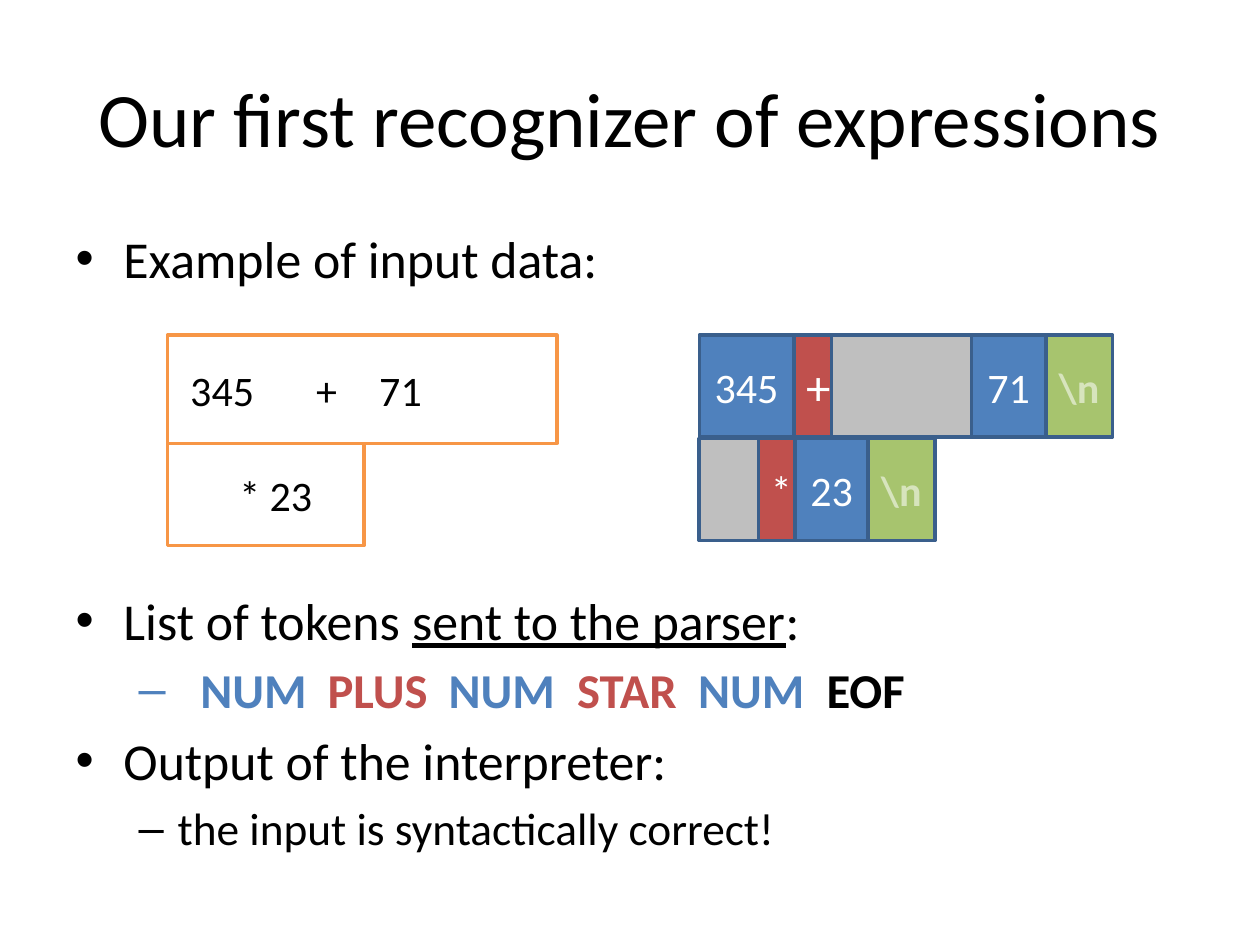
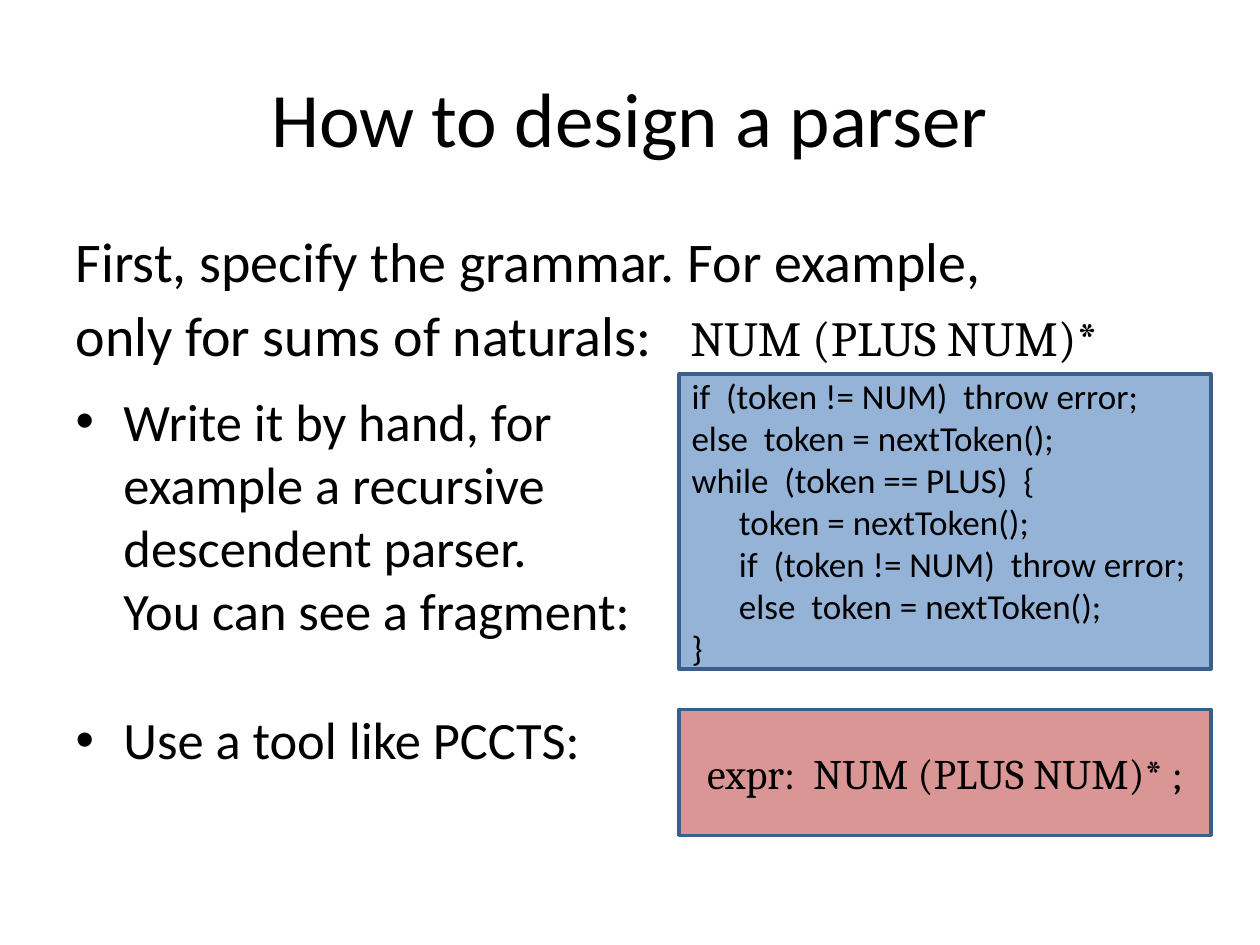
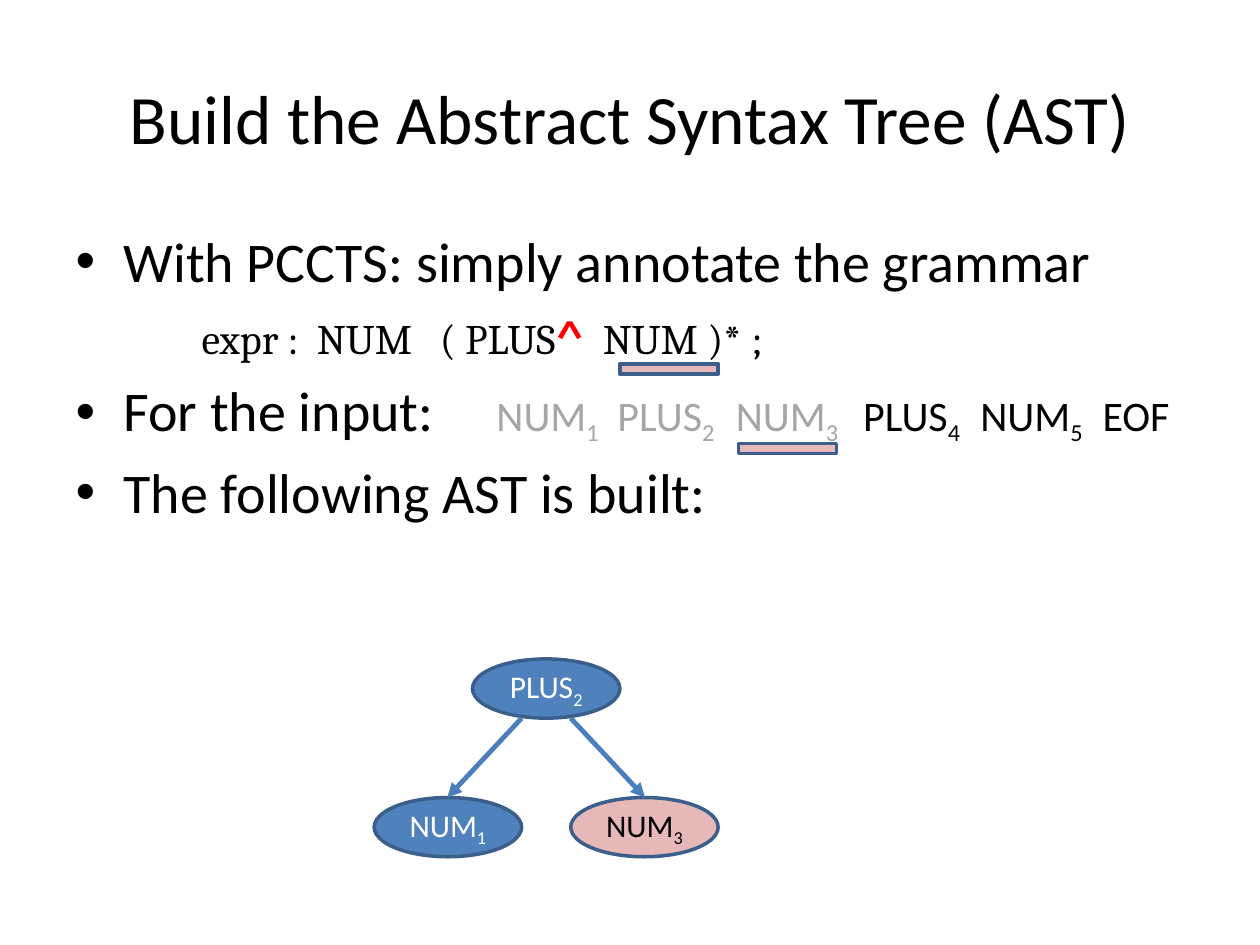
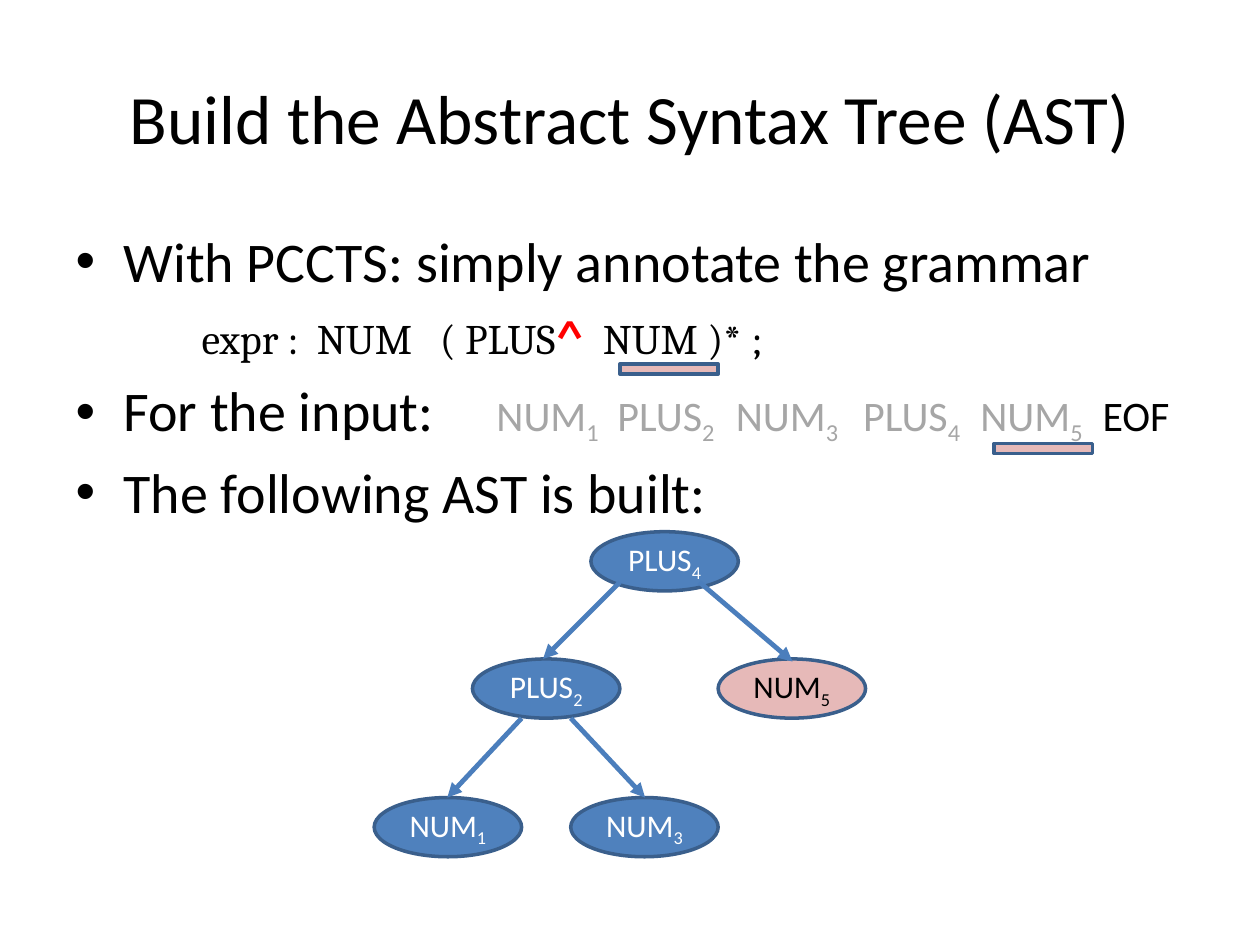
from copy import deepcopy

from lxml.etree import SubElement
from pptx import Presentation
from pptx.dml.color import RGBColor
from pptx.enum.shapes import MSO_CONNECTOR, MSO_SHAPE
from pptx.enum.text import MSO_ANCHOR, MSO_AUTO_SIZE, PP_ALIGN
from pptx.oxml.ns import qn
from pptx.util import Inches, Pt

BLACK, WHITE = "000000", "FFFFFF"
BLUE, RED, GREEN, GREY = "4F81BD", "C0504D", "A7C46E", "BFBFBF"
PALE_GREEN, PALE_RED, ROSE, SKY = "D7E4BD", "E6B9B8", "D99694", "95B3D7"
OUTLINE, ARROW, ORANGE = "3A5F8C", "4B7EBC", "F79646"
CONSUMED, CARET = "A6A6A6", "FF0000"
SANS, SERIF = "Calibri", "Cambria"
NODE_WIDTH, NODE_HEIGHT = 1.17, 0.47


def rgb(hex_colour):
    return RGBColor.from_string(hex_colour)


class Deck:
    def __init__(self):
        self.presentation = Presentation()
        self.presentation.slide_width = Inches(10)
        self.presentation.slide_height = Inches(7.5)
        self.slide = None

    def new_slide(self, title, size=44):
        layout = self.presentation.slide_layouts[1]
        self.slide = self.presentation.slides.add_slide(layout)
        heading = self.slide.shapes.title
        self.place(heading, 0.5, 0.3, 9, 1.25)
        frame = heading.text_frame
        frame.auto_size = MSO_AUTO_SIZE.NONE
        frame.vertical_anchor = MSO_ANCHOR.MIDDLE
        paragraph = frame.paragraphs[0]
        paragraph.alignment = PP_ALIGN.CENTER
        self.run(paragraph, title, size)

    def place(self, shape, left, top, width, height):
        shape.left, shape.top = Inches(left), Inches(top)
        shape.width, shape.height = Inches(width), Inches(height)

    def body(self, width=9.27, height=4.95):
        placeholder = self.slide.placeholders[1]
        self.place(placeholder, 0.5, 1.75, width, height)
        placeholder.text_frame.auto_size = MSO_AUTO_SIZE.NONE
        return placeholder.text_frame

    def run(self, paragraph, text, size, colour=BLACK, font=SANS,
            bold=False, underline=False, subscript=False):
        """Add text in one format; a newline in it becomes a line break."""
        for number, line in enumerate(text.split("\n")):
            if number:
                paragraph.add_line_break()
            run = paragraph.add_run()
            run.text = line
            run.font.name, run.font.size = font, Pt(size)
            run.font.color.rgb = rgb(colour)
            run.font.bold, run.font.underline = bold, underline
            properties = run._r.get_or_add_rPr()
            if subscript:
                properties.set("baseline", "-25000")
            if number:
                run._r.getprevious().append(deepcopy(properties))

    def paragraph(self, frame, bullet=None, level=0, margin=0.38, hanging=0.38,
                  before=0, spacing=1.0, tabs=()):
        """Start a list paragraph; tabs are measured from the frame's text edge."""
        first = frame.paragraphs[0]
        paragraph = frame.add_paragraph() if first.runs else first
        paragraph.level = level
        properties = paragraph._p.get_or_add_pPr()
        properties.set("marL", str(Inches(margin)))
        properties.set("indent", str(-Inches(hanging)))
        if bullet:
            SubElement(properties, qn("a:buChar"), char=bullet)
        else:
            SubElement(properties, qn("a:buNone"))
        if tabs:
            tab_list = SubElement(properties, qn("a:tabLst"))
            for position in tabs:
                SubElement(tab_list, qn("a:tab"), pos=str(Inches(position)), algn="l")
        paragraph.space_before = Pt(before)
        paragraph.line_spacing = spacing
        return paragraph

    def item(self, frame, text, size, **layout):
        paragraph = self.paragraph(frame, **{"bullet": "•", **layout})
        self.run(paragraph, text, size)
        return paragraph

    def box(self, left, top, width, height, fill, line=OUTLINE,
            kind=MSO_SHAPE.RECTANGLE, parent=None):
        shapes = (parent or self.slide).shapes
        shape = shapes.add_shape(kind, Inches(left), Inches(top),
                                 Inches(width), Inches(height))
        shape.shadow.inherit = False
        shape.fill.solid()
        shape.fill.fore_color.rgb = rgb(fill)
        shape.line.color.rgb = rgb(line)
        shape.line.width = Pt(2)
        shape.text_frame.word_wrap = True
        shape.text_frame.vertical_anchor = MSO_ANCHOR.MIDDLE
        return shape

    def label(self, shape, text, size, align=PP_ALIGN.CENTER, **style):
        """Write one paragraph per line of text."""
        frame = shape.text_frame
        for number, line in enumerate(text.split("\n")):
            paragraph = frame.add_paragraph() if number else frame.paragraphs[0]
            paragraph.alignment = align
            self.run(paragraph, line, size, **style)

    def input_line(self, parent, top, width, height, text, inset, tabs=()):
        box = self.box(1.33, top, width, height, WHITE, ORANGE, parent=parent)
        frame = box.text_frame
        frame.margin_left = Inches(inset)
        paragraph = self.paragraph(frame, margin=0, hanging=0, tabs=tabs)
        paragraph.alignment = PP_ALIGN.LEFT
        self.run(paragraph, text, 24)

    def lexeme_row(self, parent, top, lexemes):
        left = 5.55
        for text, width, fill, size in lexemes:
            cell = self.box(left, top, width, 0.81, fill, parent=parent)
            newline = fill == GREEN
            if text:
                self.label(cell, text, size, bold=newline,
                           colour=PALE_GREEN if newline else WHITE)
            left += width

    def token(self, paragraph, name, index, size, colour):
        self.run(paragraph, name, size, colour)
        self.run(paragraph, index, size, colour, subscript=True)

    def node(self, left, top, name, index, newest=False):
        oval = self.box(left, top, NODE_WIDTH, NODE_HEIGHT,
                        PALE_RED if newest else BLUE, kind=MSO_SHAPE.OVAL)
        paragraph = oval.text_frame.paragraphs[0]
        paragraph.alignment = PP_ALIGN.CENTER
        self.token(paragraph, name, index, 18, BLACK if newest else WHITE)

    def marker(self, left, top):
        self.box(left, top, 0.78, 0.08, PALE_RED)

    def arrow(self, x1, y1, x2, y2):
        connector = self.slide.shapes.add_connector(
            MSO_CONNECTOR.STRAIGHT, Inches(x1), Inches(y1), Inches(x2), Inches(y2))
        connector.line.color.rgb = rgb(ARROW)
        connector.line.width = Pt(2.75)
        SubElement(connector.line._get_or_add_ln(), qn("a:tailEnd"), type="triangle")
        SubElement(connector._element.spPr, qn("a:effectLst"))

    def ast_slide(self, consumed, marker_left, nodes, arrows):
        """Show the tree after the given number of input tokens."""
        self.new_slide("Build the Abstract Syntax Tree (AST)", 39.6)
        frame = self.body()
        self.item(frame, "With PCCTS: simply annotate the grammar", 32)

        grammar = self.paragraph(frame, level=2, margin=1, hanging=0, before=6.4)
        self.run(grammar, "expr :  NUM   ( PLUS", 24, font=SERIF)
        self.run(grammar, "^", 28, CARET, SERIF, bold=True)
        self.run(grammar, "  NUM )", 24, font=SERIF)
        self.run(grammar, "*", 24, font=SERIF, bold=True)
        self.run(grammar, " ;", 24, font=SERIF)

        tokens = self.item(frame, "For the input:", 32, before=6.4,
                           tabs=(3.34, 4.3, 5.24, 6.25, 7.18, 8.15))
        for number, name in enumerate(("NUM", "PLUS", "NUM", "PLUS", "NUM"), 1):
            self.token(tokens, "\t" + name, str(number), 24,
                       CONSUMED if number <= consumed else BLACK)
        self.run(tokens, "\tEOF", 24)
        self.item(frame, "The following AST is built:", 32, before=6.4)

        for node in nodes:
            self.node(*node)
        self.marker(4.92, 2.89)
        self.marker(marker_left, 3.52)
        for arrow in arrows:
            self.arrow(*arrow)


def recognizer_slide(deck):
    deck.new_slide("Our first recognizer of expressions")
    frame = deck.body(width=9)
    deck.item(frame, "Example of input data:", 29.6)
    sent = deck.item(frame, "List of tokens ", 29.6, before=171)
    deck.run(sent, "sent to the parser", 29.6, underline=True)
    deck.run(sent, ":", 29.6)
    tokens = deck.paragraph(frame, "–", 1, 0.81, 0.31, before=5.5,
                            tabs=(0.99, 2, 2.96, 3.98, 4.94, 5.96))
    for name, colour in (("NUM", BLUE), ("PLUS", RED), ("NUM", BLUE),
                         ("STAR", RED), ("NUM", BLUE), ("EOF", BLACK)):
        deck.run(tokens, "\t" + name, 27.8, colour, bold=True)
    deck.item(frame, "Output of the interpreter:", 29.6, before=6)
    deck.item(frame, "the input is syntactically correct!", 25.9, bullet="–",
              level=1, margin=0.81, hanging=0.31, before=5.2)

    source = deck.slide.shapes.add_group_shape()
    deck.input_line(source, 2.66, 3.09, 0.86, "345\t+\t71", 0.18, (0.65, 2.1))
    deck.input_line(source, 3.52, 1.56, 0.81, "* 23", 0.57)

    lexemes = deck.slide.shapes.add_group_shape()
    deck.lexeme_row(lexemes, 2.66, (
        ("345", 0.75, BLUE, 24), ("+", 0.3, RED, 28), ("", 1.11, GREY, 24),
        ("71", 0.59, BLUE, 24), ("\\n", 0.53, GREEN, 24)))
    deck.lexeme_row(lexemes, 3.48, (
        ("", 0.47, GREY, 24), ("*", 0.29, RED, 24),
        ("23", 0.58, BLUE, 24), ("\\n", 0.53, GREEN, 24)))


def parser_slide(deck):
    deck.new_slide("How to design a parser")
    frame = deck.body(height=5.2)
    deck.item(frame, "First, specify the grammar. For example,", 32, bullet=None)
    sums = deck.item(frame, "only for sums of naturals:", 32, bullet=None,
                     spacing=1.1, tabs=(5.09,))
    deck.run(sums, "\tNUM (PLUS NUM)*", 28, font=SERIF)
    deck.item(frame, "Write it by hand, for\nexample a recursive\n"
              "descendent parser.\nYou can see a fragment:", 30, before=12)
    deck.item(frame, "Use a tool like PCCTS:", 30, before=38)

    code = deck.box(5.39, 2.97, 4.22, 2.34, SKY)
    deck.label(code, """if  (token != NUM)  throw error;
else  token = nextToken();
while  (token == PLUS)  {
      token = nextToken();
      if  (token != NUM)  throw error;
      else  token = nextToken();
}""", 20, PP_ALIGN.LEFT)
    rule = deck.box(5.39, 5.63, 4.22, 1, ROSE)
    deck.label(rule, "expr:  NUM (PLUS NUM)* ;", 24, font=SERIF)


def main():
    deck = Deck()
    recognizer_slide(deck)
    parser_slide(deck)

    first_sum = [(2.97, 6.33, "NUM", "1"), (3.75, 5.23, "PLUS", "2")]
    first_arrows = [(4.14, 5.7, 3.55, 6.33), (4.53, 5.7, 5.12, 6.33)]
    third = (4.53, 6.33, "NUM", "3")
    deck.ast_slide(3, 5.86, [(*third, True), *first_sum], first_arrows)
    deck.ast_slide(
        5, 7.89,
        [(5.7, 5.23, "NUM", "5", True), third, *first_sum, (4.69, 4.22, "PLUS", "4")],
        [*first_arrows, (4.92, 4.62, 4.31, 5.23), (5.55, 4.62, 6.29, 5.25)])
    deck.presentation.save("out.pptx")


if __name__ == "__main__":
    main()
